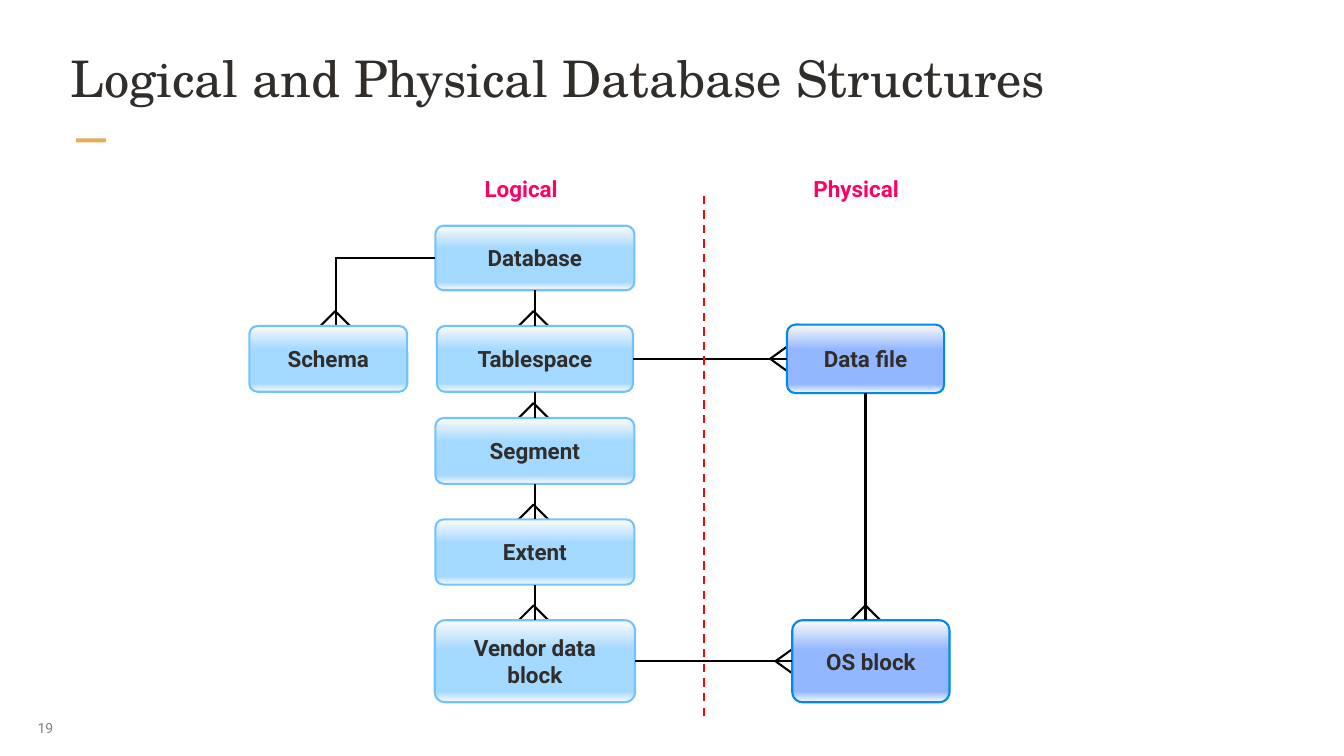
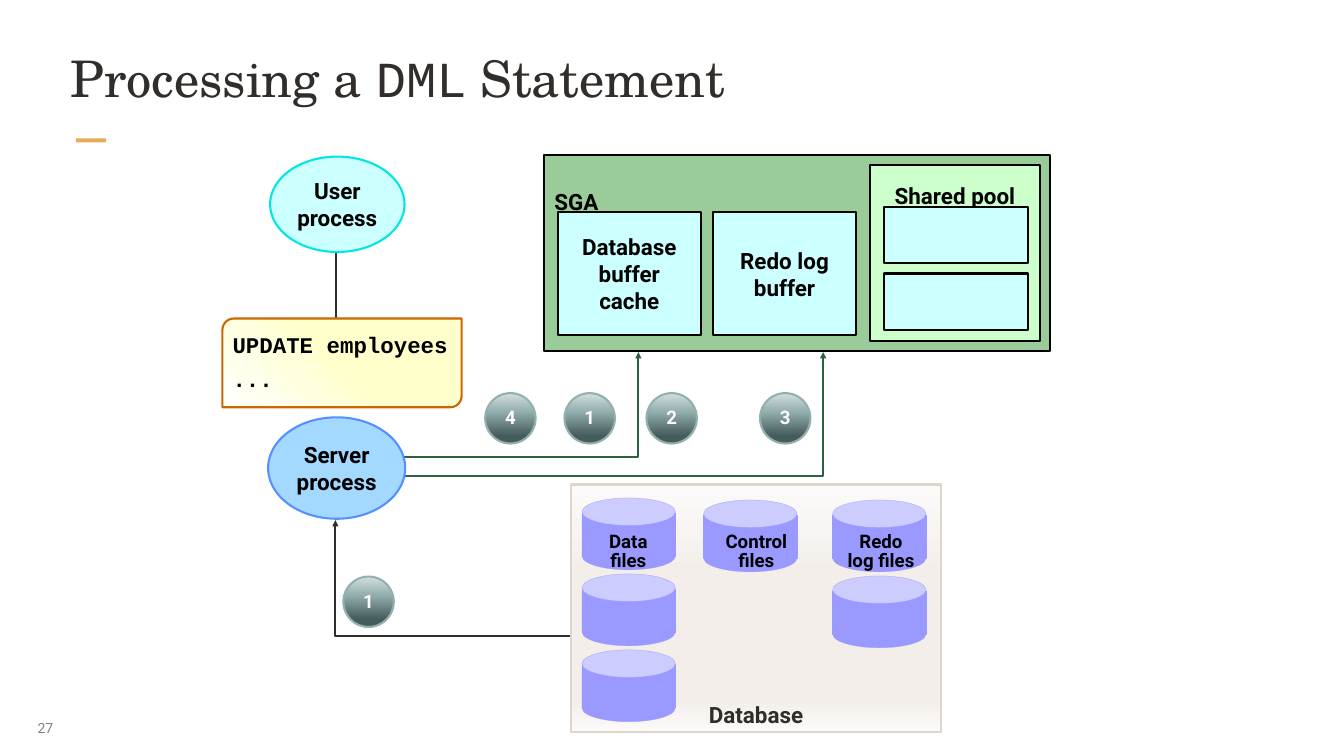
import pptx
import pptx.dml.color
import pptx.enum.dml
import pptx.enum.shapes
import pptx.enum.text
import pptx.oxml
import pptx.oxml.ns
import pptx.util
from dataclasses import dataclass
from lxml import etree

PX = 9144  # EMU in one px, 100 px to the inch
SHAPE = pptx.enum.shapes.MSO_SHAPE
ALIGN = pptx.enum.text.PP_ALIGN
ANCHOR = pptx.enum.text.MSO_ANCHOR
Pt = pptx.util.Pt
RGB = pptx.dml.color.RGBColor.from_string
qn = pptx.oxml.ns.qn


@dataclass(frozen=True)
class Theme:
    title_font: str = "TeX Gyre Schola"
    body_font: str = "Roboto"
    code_font: str = "Courier New"
    title_size: int = 54
    body_size: int = 24
    small_size: int = 20
    number_size: int = 15
    line_width: float = 2.25
    hairline: float = 0.25
    ink: str = "312D2A"
    black: str = "000000"
    paper: str = "FCFBFA"
    accent: str = "E6AC58"
    number: str = "8B8078"
    heading: str = "FF0066"
    divider: str = "FF0000"
    logical: str = "A3D8FF"
    logical_line: str = "71C2FF"
    physical: str = "93B7FF"
    physical_line: str = "0088EE"
    memory: str = "99CC99"
    pool: str = "CCFFCC"
    buffer: str = "CCFFFF"
    user_line: str = "00E7E2"
    server_line: str = "578FFF"
    code: str = "FFFFCC"
    code_line: str = "CC6600"
    flow: str = "2B6242"
    panel: str = "F3EEEA"
    panel_line: str = "E0D5CB"
    can: str = "9999FF"
    can_top: str = "CCCCFF"
    step_light: str = "D4DFDF"
    step: str = "94AFAF"
    step_dark: str = "455C5C"


theme = Theme()


def add_box(slide, kind, bounds, fill=None, line=None, text="", color=theme.black,
            size=theme.body_size, font=theme.body_font, bold=True, align=ALIGN.CENTER,
            anchor=ANCHOR.MIDDLE, insets=(15, 8, 15, 8), spacing=None,
            width=theme.line_width):
    """Add a shape, or a text box if kind is None; a gradient fill is (stops, angle)."""
    bounds = [value * PX for value in bounds]
    if kind is None:
        shape = slide.shapes.add_textbox(*bounds)
    else:
        shape = slide.shapes.add_shape(kind, *bounds)
        shape.shadow.inherit = False
        if isinstance(fill, str):
            shape.fill.solid()
            shape.fill.fore_color.rgb = RGB(fill)
        else:
            stops, angle = fill
            shape.fill.gradient()
            gradient = shape._element.spPr.find(qn("a:gradFill"))
            stop_list = gradient.find(qn("a:gsLst"))
            for old_stop in list(stop_list):
                stop_list.remove(old_stop)
            for position, stop_color in stops:
                stop = etree.SubElement(stop_list, qn("a:gs"), pos=str(position * 1000))
                etree.SubElement(stop, qn("a:srgbClr"), val=stop_color)
            gradient.find(qn("a:lin")).set("ang", str(angle * 60000))
        if line:
            shape.line.color.rgb = RGB(line)
            shape.line.width = Pt(width)
        else:
            shape.line.fill.background()
    if not text:
        return shape
    frame = shape.text_frame
    frame.text = text
    frame.word_wrap = kind != SHAPE.OVAL
    frame.vertical_anchor = anchor
    (frame.margin_left, frame.margin_top,
     frame.margin_right, frame.margin_bottom) = [inset * PX for inset in insets]
    for paragraph in frame.paragraphs:
        paragraph.alignment = align
        paragraph.line_spacing = spacing
        for run in paragraph.runs:
            run.font.name = font
            run.font.size = Pt(size)
            run.font.bold = bold
            run.font.color.rgb = RGB(color)
    return shape


def add_path(slide, points, color=theme.black, arrow=None, dash=None):
    """Add a connector through two points, or an open outline through more."""
    if len(points) == 2:
        (x1, y1), (x2, y2) = points
        path = slide.shapes.add_connector(pptx.enum.shapes.MSO_CONNECTOR.STRAIGHT,
                                          x1 * PX, y1 * PX, x2 * PX, y2 * PX)
    else:
        builder = slide.shapes.build_freeform(*points[0], scale=PX)
        builder.add_line_segments(points[1:], close=False)
        path = builder.convert_to_shape()
        path.fill.background()
    path.line.color.rgb = RGB(color)
    path.line.width = Pt(theme.line_width)
    if dash:
        path.line.dash_style = dash
    if arrow:
        etree.SubElement(path.line._get_or_add_ln(), qn("a:tailEnd"), type=arrow)
    etree.SubElement(path._element.spPr, qn("a:effectLst"))
    return path


presentation = pptx.Presentation()
presentation.slide_width = 2000 * PX
presentation.slide_height = 1125 * PX

# Title, accent bar and page number of both slides
title_font, code_font = theme.title_font, theme.code_font
pages = [
    ("19", [("Logical and Physical Database Structures", title_font)]),
    ("27", [("Processing a ", title_font), ("DML", code_font), (" Statement", title_font)]),
]
for number, title_runs in pages:
    slide = presentation.slides.add_slide(presentation.slide_layouts[5])
    title = slide.shapes.title
    title.left, title.top, title.width, title.height = [
        value * PX for value in (102, 67, 1796, 128)]
    frame = title.text_frame
    frame.auto_size = pptx.enum.text.MSO_AUTO_SIZE.NONE
    frame.vertical_anchor = ANCHOR.TOP
    frame.margin_left = frame.margin_top = frame.margin_right = frame.margin_bottom = 3 * PX
    paragraph = frame.paragraphs[0]
    paragraph.alignment = ALIGN.LEFT
    for text, font in title_runs:
        run = paragraph.add_run()
        run.text = text
        run.font.name = font
        run.font.size = Pt(theme.title_size)
        run.font.color.rgb = RGB(theme.ink)
    add_box(slide, SHAPE.RECTANGLE, (113, 206, 45, 6), theme.accent)
    add_box(slide, None, (43, 1054, 65, 58), text=number, color=theme.number,
            size=theme.number_size, bold=False, align=ALIGN.LEFT, insets=(13, 7, 13, 7))
structures, processing = presentation.slides

# Logical and physical structures
logical_style = (theme.logical, theme.logical_line)
physical_style = (theme.physical, theme.physical_line)
structure_boxes = [
    ("Database", (648, 336, 296, 96), logical_style),
    ("Tablespace", (650, 485, 292, 98), logical_style),
    ("Segment", (648, 622, 296, 98), logical_style),
    ("Extent", (648, 773, 296, 97), logical_style),
    ("Vendor data\vblock", (647, 923, 298, 122), logical_style),
    ("Schema", (371, 485, 235, 98), logical_style),
    ("Data file", (1171, 483, 234, 102), physical_style),
    ("OS block", (1179, 923, 234, 122), physical_style),
]
# Crow's feet: the tip stands before the box, the legs run under it
for tip_x, box_top in [(794, 485), (794, 622), (794, 773), (794, 923), (499, 485), (1288, 923)]:
    tip_y = box_top - 22
    add_path(structures, [(tip_x - 37, tip_y + 37), (tip_x, tip_y), (tip_x + 37, tip_y + 37)])
for box_left, tip_y in [(1171, 534), (1179, 984)]:
    add_path(structures, [(box_left, tip_y - 18), (box_left - 25, tip_y), (box_left, tip_y + 18)])
add_path(structures, [(500, 384), (500, 509)])

boxes = []
for text, bounds, (fill, line) in structure_boxes:
    stops = [(0, theme.paper), (36, fill), (87, fill), (100, theme.paper)]
    box = add_box(structures, SHAPE.ROUNDED_RECTANGLE, bounds, (stops, 90), line,
                  text, theme.ink, insets=(15, 7, 15, 7))
    box.adjustments[0] = 0.125
    boxes.append(box)
database, tablespace, segment, extent, data_block, schema, data_file, os_block = boxes

links = [(upper, 2, lower, 0) for upper, lower in zip(boxes[:4], boxes[1:5])]
links += [(tablespace, 3, data_file, 1), (data_block, 3, os_block, 1)]
for start, start_side, end, end_side in links:
    link = add_path(structures, [(0, 0), (0, 0)])
    link.begin_connect(start, start_side)
    link.end_connect(end, end_side)
add_path(structures, [(648, 384), (498, 384)]).begin_connect(database, 1)
add_path(structures, [(1288, 585), (1288, 923)]).begin_connect(data_file, 2)

add_path(structures, [(1047, 291), (1047, 1066)], theme.divider,
         dash=pptx.enum.dml.MSO_LINE.DASH)
for text, left, width in [("Logical", 695, 161), ("Physical", 1183, 182)]:
    add_box(structures, None, (left, 259, width, 50), text=text, color=theme.heading,
            anchor=ANCHOR.TOP, spacing=0.85)

# Processes and the statement
add_path(processing, [(500, 350), (500, 599)], theme.ink, "stealth")
add_path(processing, [(984, 946), (499, 946), (499, 774)], theme.ink, "triangle")
for x, y in [(950, 680), (1225, 708)]:
    add_path(processing, [(599, y), (x, y), (x, 524)], theme.flow, "triangle")
statement = add_box(
    processing, SHAPE.ROUND_2_DIAG_RECTANGLE, (331, 474, 356, 132),
    ([(0, theme.code), (50, theme.code), (100, "FFFFFF")], 135), theme.code_line)
statement.adjustments[0] = 0.127
statement.adjustments[1] = 0
add_box(processing, None, (331, 475, 355, 114), text="UPDATE employees ...",
        font=theme.code_font, align=ALIGN.LEFT, anchor=ANCHOR.TOP, spacing=1.25)
add_box(processing, SHAPE.OVAL, (402, 233, 200, 142), theme.buffer, theme.user_line,
        "User\vprocess")
add_box(processing, SHAPE.OVAL, (399, 621, 204, 151), theme.logical, theme.server_line,
        "Server\vprocess")

# Memory areas
add_box(processing, SHAPE.RECTANGLE, (810, 230, 752, 292), theme.memory, theme.black, "SGA",
        align=ALIGN.LEFT, anchor=ANCHOR.TOP, insets=(15, 50, 15, 8))
for text, left in [("Database\vbuffer\vcache", 830), ("Redo log\vbuffer", 1061)]:
    add_box(processing, SHAPE.RECTANGLE, (left, 316, 213, 183), theme.buffer, theme.black, text)
add_box(processing, SHAPE.RECTANGLE, (1294, 246, 254, 261), theme.pool, theme.black,
        "Shared pool", anchor=ANCHOR.TOP, insets=(15, 25, 15, 0))
for top in (308, 407):
    add_box(processing, SHAPE.RECTANGLE, (1316, top, 214, 84), theme.buffer, theme.black)

# Database files
panel_stops = [(0, theme.paper), (36, theme.panel), (87, theme.panel), (100, theme.paper)]
add_box(processing, SHAPE.RECTANGLE, (850, 721, 550, 369), (panel_stops, 90),
        theme.panel_line, "Database", theme.ink, anchor=ANCHOR.BOTTOM, insets=(15, 7, 15, 7))
file_columns = [
    ("Data\vfiles", 866, 741, 3, 874, 122),
    ("Control\vfiles", 1047, 744, 1, 1038, 175),
    ("Redo\nlog files", 1239, 744, 2, 1205, 212),
]
can_parts = [
    (SHAPE.RECTANGLE, 22, 64, theme.can),
    (SHAPE.OVAL, 0, 41, theme.can_top),
    (SHAPE.OVAL, 66, 41, theme.can),
]
for text, left, top, count, label_left, label_width in file_columns:
    for row in range(count):
        for kind, offset, height, fill in can_parts:
            add_box(processing, kind, (left, top + row * 113 + offset, 139, height),
                    fill, theme.can, width=theme.hairline)
    add_box(processing, None, (label_left, 784, label_width, 75), text=text,
            size=theme.small_size, anchor=ANCHOR.TOP, insets=(17, 9, 17, 9), spacing=0.85)

# Numbered steps
step_stops = [(0, theme.step_light), (36, theme.step), (85, theme.step_dark)]
for text, left, top in [("1", 511, 858), ("1", 840, 585), ("2", 962, 585),
                        ("3", 1131, 585), ("4", 722, 585)]:
    add_box(processing, SHAPE.OVAL, (left, top, 75, 75), (step_stops, 90), theme.step, text,
            theme.paper, theme.small_size, insets=(10, 10, 10, 10), spacing=0.95)

presentation.save("out.pptx")
